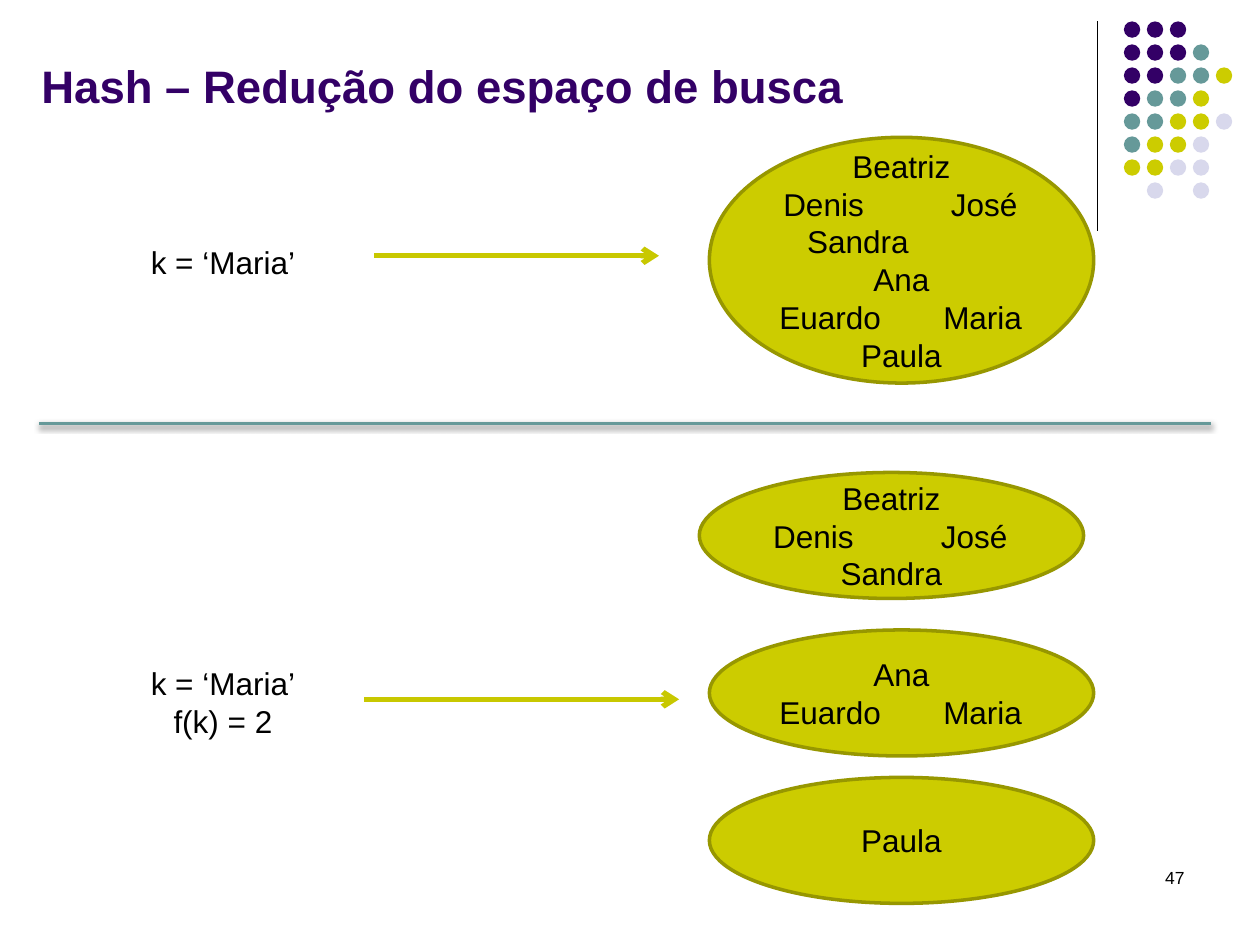
from lxml import etree
from pptx import Presentation
from pptx import util as u
from pptx.dml.color import RGBColor
from pptx.enum import shapes, text
from pptx.oxml.ns import qn

PURPLE, TEAL, LIME, LAVENDER = "330066", "669999", "CCCC00", "D8D8EC"
BLACK, OLIVE, ARROW = "000000", "979700", "C8C800"
DOT_COLORS = {"P": PURPLE, "T": TEAL, "L": LIME, "V": LAVENDER}
DOT_ROWS = ["PPP", "PPPT", "PPTTL", "PTTL", "TTLLV", "TLLV", "LLVV", ".V.V"]

DENIS_JOSE = [("Denis", 0.14), ("José", 1.47)]
EUARDO_MARIA = [("Euardo", 0.11), ("Maria", 1.41)]
INDENTED_SANDRA = [("Sandra", 0.33)]
NAME_SETS = [
    (5.63, 1.09, 1.95, ["Beatriz", DENIS_JOSE, INDENTED_SANDRA, "Ana", EUARDO_MARIA, "Paula"]),
    (5.55, 3.75, 1, ["Beatriz", DENIS_JOSE, "Sandra"]),
    (5.63, 5, 1, ["Ana", EUARDO_MARIA]),
    (5.63, 6.17, 1, ["Paula"]),
]


def color(value):
    return RGBColor.from_string(value)


class SlideBuilder:
    font = "Arial"
    size = 18

    def __init__(self, slide):
        self.slide = slide

    def add_run(self, paragraph, content, size=None, fill=BLACK, bold=False):
        run = paragraph.add_run()
        run.text = content
        run.font.name = self.font
        run.font.size = u.Pt(size or self.size)
        run.font.bold = bold
        run.font.color.rgb = color(fill)

    def tab_stops(self, paragraph, positions):
        properties = paragraph._p.get_or_add_pPr()
        tabs = etree.SubElement(properties, qn("a:tabLst"))
        for position in positions:
            etree.SubElement(tabs, qn("a:tab"), pos=str(u.Inches(position)), algn="l")

    def add_lines(self, frame, lines, align=text.PP_ALIGN.CENTER, **style):
        for index, line in enumerate(lines):
            paragraph = frame.add_paragraph() if index else frame.paragraphs[0]
            if isinstance(line, str):
                paragraph.alignment = align
                self.add_run(paragraph, line, **style)
            else:
                paragraph.alignment = text.PP_ALIGN.LEFT
                self.tab_stops(paragraph, [position for _, position in line])
                for word, _ in line:
                    self.add_run(paragraph, "\t" + word, **style)

    def textbox(self, left, top, width, height, lines, wrap=True,
                anchor=text.MSO_ANCHOR.TOP, **style):
        box = self.slide.shapes.add_textbox(
            u.Inches(left), u.Inches(top), u.Inches(width), u.Inches(height))
        box.text_frame.word_wrap = wrap
        box.text_frame.vertical_anchor = anchor
        self.add_lines(box.text_frame, lines, **style)

    def ellipse(self, left, top, width, height, fill, outline=None, lines=()):
        shape = self.slide.shapes.add_shape(
            shapes.MSO_SHAPE.OVAL, u.Inches(left), u.Inches(top),
            u.Inches(width), u.Inches(height))
        shape.shadow.inherit = False
        shape.fill.solid()
        shape.fill.fore_color.rgb = color(fill)
        if outline:
            shape.line.color.rgb = color(outline)
            shape.line.width = u.Pt(2)
        else:
            shape.line.fill.background()
        frame = shape.text_frame
        frame.margin_left = frame.margin_right = 0
        frame.vertical_anchor = text.MSO_ANCHOR.MIDDLE
        self.add_lines(frame, lines)

    def line(self, start, end, stroke, width, arrow=False, shadow=False):
        connector = self.slide.shapes.add_connector(
            shapes.MSO_CONNECTOR.STRAIGHT, *map(u.Inches, start + end))
        connector.line.color.rgb = color(stroke)
        connector.line.width = u.Pt(width)
        if arrow:
            etree.SubElement(connector.line._get_or_add_ln(), qn("a:tailEnd"), type="arrow")
        effects = etree.SubElement(connector._element.spPr, qn("a:effectLst"))
        if shadow:
            outer = etree.SubElement(
                effects, qn("a:outerShdw"), blurRad=str(u.Pt(3.1)),
                dist=str(u.Pt(1.6)), dir="5400000", rotWithShape="0")
            shade = etree.SubElement(outer, qn("a:srgbClr"), val=BLACK)
            etree.SubElement(shade, qn("a:alpha"), val="38000")

    def dots(self, left, top, pitch, diameter):
        for row, codes in enumerate(DOT_ROWS):
            for column, code in enumerate(codes):
                if code in DOT_COLORS:
                    self.ellipse(left + column * pitch, top + row * pitch,
                                 diameter, diameter, DOT_COLORS[code])


def main():
    presentation = Presentation()
    presentation.slide_width = u.Inches(10)
    presentation.slide_height = u.Inches(7.5)
    builder = SlideBuilder(presentation.slides.add_slide(presentation.slide_layouts[6]))

    builder.line((8.71, 0.17), (8.71, 1.83), BLACK, 0.75)
    builder.dots(8.92, 0.17, 0.73 / 4, 0.13)
    builder.textbox(0.23, 0.25, 8.52, 0.69, ["Hash – Redução do espaço de busca"],
                    anchor=text.MSO_ANCHOR.BOTTOM, align=text.PP_ALIGN.LEFT,
                    size=26, fill=PURPLE, bold=True)

    for left, top, height, names in NAME_SETS:
        builder.ellipse(left, top, 3.05, height, LIME, OLIVE, names)

    builder.textbox(1.09, 1.88, 1.36, 0.4, ["k = ‘Maria’"], wrap=False)
    builder.line((2.97, 2.03), (5.23, 2.03), ARROW, 3, arrow=True)
    builder.line((0.31, 3.36), (9.61, 3.36), TEAL, 2, shadow=True)
    builder.textbox(1.09, 5.22, 1.36, 0.71, ["k = ‘Maria’", "f(k) = 2"], wrap=False)
    builder.line((2.89, 5.55), (5.39, 5.55), ARROW, 3, arrow=True)
    builder.textbox(7.17, 6.83, 2.33, 0.5, ["47"], align=text.PP_ALIGN.RIGHT, size=10)

    presentation.save("out.pptx")


if __name__ == "__main__":
    main()
